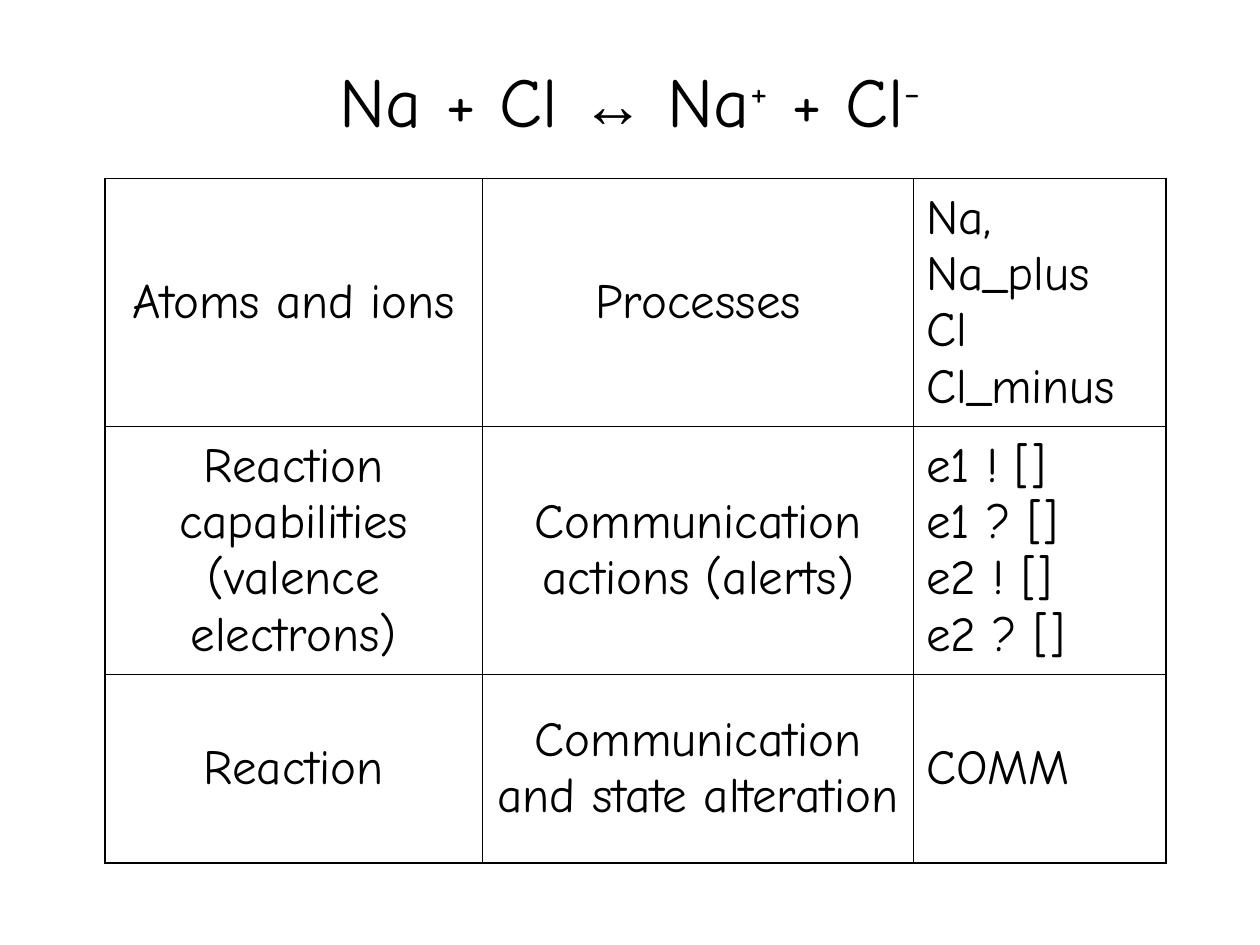
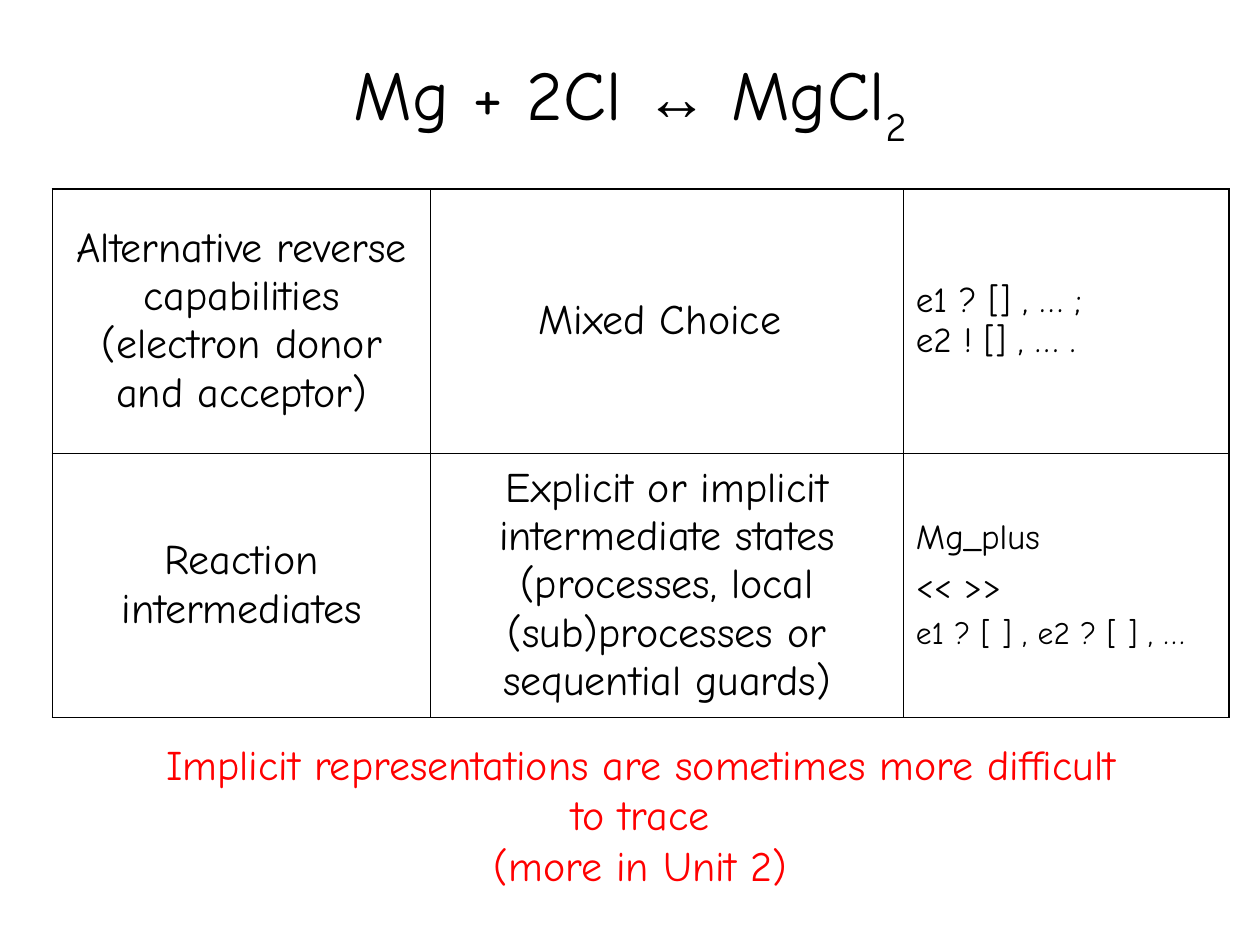
from dataclasses import dataclass

from lxml import etree
from pptx import Presentation
from pptx.dml import color as dml
from pptx.enum import text as enum_text
from pptx.oxml import ns
from pptx.util import Cm, Pt


@dataclass(frozen=True)
class Theme:
    """Colours, fonts, type sizes and line widths shared by the slides."""

    ink: str = "000000"
    accent: str = "FF0000"
    font: str = "Comic Neue"
    arrow_font: str = "Arial"
    title: int = 40
    arrow: int = 36
    large: int = 28
    body: int = 24
    code: int = 20
    small_code: int = 18
    outer_line: float = 1.08
    inner_line: float = 0.45


THEME = Theme()
ARROW = "↔"
CENTER, LEFT = enum_text.PP_ALIGN.CENTER, enum_text.PP_ALIGN.LEFT
TITLE_BOX = (1.9, 0.42, 21.6, 3.18)
NOTE_BOX = (2.97, 15.67, 19.89, 1.48)


def style_run(run, size, color=THEME.ink, font=THEME.font, baseline=0):
    """Format one run; baseline is a percentage above or below the line."""
    run.font.name = font
    run.font.size = Pt(size)
    run.font.color.rgb = dml.RGBColor.from_string(color)
    if baseline:
        run._r.get_or_add_rPr().set("baseline", str(baseline * 1000))


def add_text_box(slide, box, wrap=True):
    """Add a middle-anchored box and return its centred first paragraph."""
    frame = slide.shapes.add_textbox(*map(Cm, box)).text_frame
    frame.word_wrap = wrap
    frame.vertical_anchor = enum_text.MSO_ANCHOR.MIDDLE
    frame.paragraphs[0].alignment = CENTER
    return frame.paragraphs[0]


def add_equation_title(slide, parts):
    """Write a reaction from (text, baseline) parts."""
    paragraph = add_text_box(slide, TITLE_BOX)
    for text, baseline in parts:
        run = paragraph.add_run()
        run.text = text
        if text == ARROW:
            style_run(run, THEME.arrow, font=THEME.arrow_font)
        else:
            style_run(run, THEME.title, baseline=baseline)


def add_note(slide, text):
    """Write the highlighted remark under the table."""
    paragraph = add_text_box(slide, NOTE_BOX, wrap=False)
    paragraph.text = text
    for run in paragraph.runs:
        style_run(run, THEME.body, THEME.accent)


def draw_borders(cell, outer_sides):
    """Rule all four sides, heavier on the rim of the table."""
    properties = cell._tc.get_or_add_tcPr()
    for side in "LRTB":
        width = THEME.outer_line if side in outer_sides else THEME.inner_line
        line = etree.SubElement(properties, ns.qn(f"a:ln{side}"), w=str(int(Pt(width))))
        fill = etree.SubElement(line, ns.qn("a:solidFill"))
        etree.SubElement(fill, ns.qn("a:srgbClr"), val=THEME.ink)


def fill_cell(cell, lines, alignment):
    """Write (text, size) paragraphs, spaced by a quarter of their size."""
    cell.vertical_anchor = enum_text.MSO_ANCHOR.MIDDLE
    cell.fill.background()
    for index, (text, size) in enumerate(lines):
        frame = cell.text_frame
        paragraph = frame.add_paragraph() if index else frame.paragraphs[0]
        paragraph.text = text
        paragraph.alignment = alignment
        if index:
            paragraph.space_before = Pt(size / 4)
        for run in paragraph.runs:
            style_run(run, size)


def add_analogy_table(slide, origin, widths, heights, rows, size):
    """Draw the table; a plain string takes the given size, the last column is left-aligned."""
    box = (*origin, sum(widths), sum(heights))
    table = slide.shapes.add_table(len(heights), len(widths), *map(Cm, box)).table
    table.first_row = table.horz_banding = False
    for column, width in zip(table.columns, widths):
        column.width = Cm(width)
    last_row, last_column = len(heights) - 1, len(widths) - 1
    for row_index, contents in enumerate(rows):
        table.rows[row_index].height = Cm(heights[row_index])
        for column_index, content in enumerate(contents):
            cell = table.cell(row_index, column_index)
            rim = {"T": row_index == 0, "B": row_index == last_row,
                   "L": column_index == 0, "R": column_index == last_column}
            draw_borders(cell, [side for side, outer in rim.items() if outer])
            lines = [(content, size)] if isinstance(content, str) else content
            fill_cell(cell, lines, LEFT if column_index == last_column else CENTER)


def build_sodium_slide(slide):
    """Relate sodium chloride ionisation to processes."""
    add_equation_title(slide, [("Na + Cl ", 0), (ARROW, 0), (" Na", 0), ("+", 30),
                               (" + Cl", 0), ("-", 30)])
    rows = [
        ("Atoms and ions", "Processes", "Na,\vNa_plus\vCl\vCl_minus"),
        ("Reaction capabilities (valence electrons)", "Communication actions (alerts)",
         "e1 ! []\ve1 ? []\ve2 ! []\ve2 ? []"),
        ("Reaction", "Communication and state alteration", "COMM"),
    ]
    add_analogy_table(slide, (2.11, 3.6), (7.62, 8.69, 5.08), (5, 5, 3.8), rows, THEME.large)


def build_magnesium_slide(slide):
    """Relate magnesium chloride formation to choices and states."""
    add_equation_title(slide, [("Mg + 2Cl ", 0), (ARROW, 0), (" MgCl", 0), ("2", -30)])
    rows = [
        ("Alternative reverse capabilities (electron donor and acceptor)", "Mixed Choice ",
         [("e1 ? [] , … ;\ve2 ! [] , … .", THEME.code)]),
        ("Reaction intermediates",
         "Explicit or implicit intermediate states "
         "(processes, local (sub)processes or sequential guards)",
         [("Mg_plus", THEME.code), ("<< >>", THEME.code),
          ("e1 ? [ ] , e2 ? [ ] , …", THEME.small_code)]),
    ]
    add_analogy_table(slide, (1.06, 3.81), (7.62, 9.53, 6.56), (5.32, 5.32), rows, THEME.body)
    add_note(slide, "Implicit representations are sometimes more difficult to trace\v"
                    "(more in Unit 2)")


def main():
    """Build and save the presentation."""
    presentation = Presentation()
    presentation.slide_width, presentation.slide_height = Cm(25.4), Cm(19.05)
    for build in (build_sodium_slide, build_magnesium_slide):
        build(presentation.slides.add_slide(presentation.slide_layouts[6]))
    presentation.save("out.pptx")


if __name__ == "__main__":
    main()
